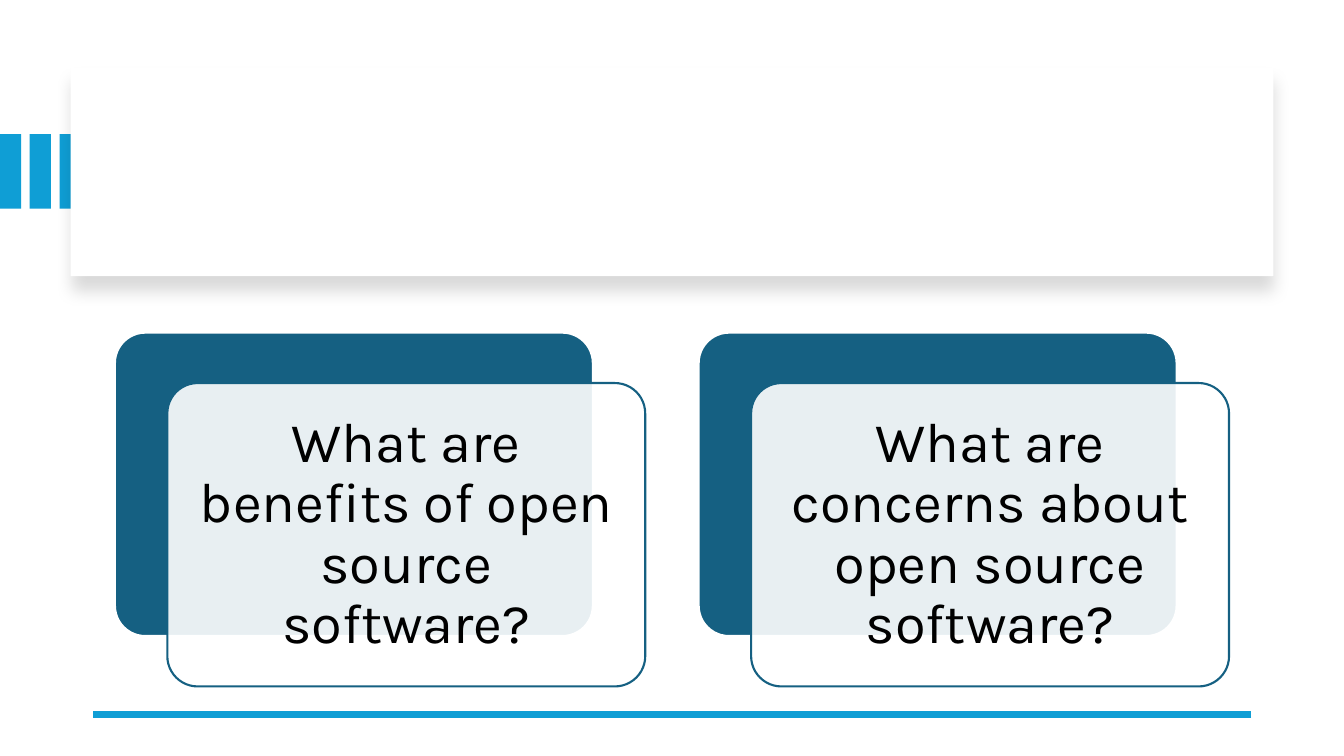
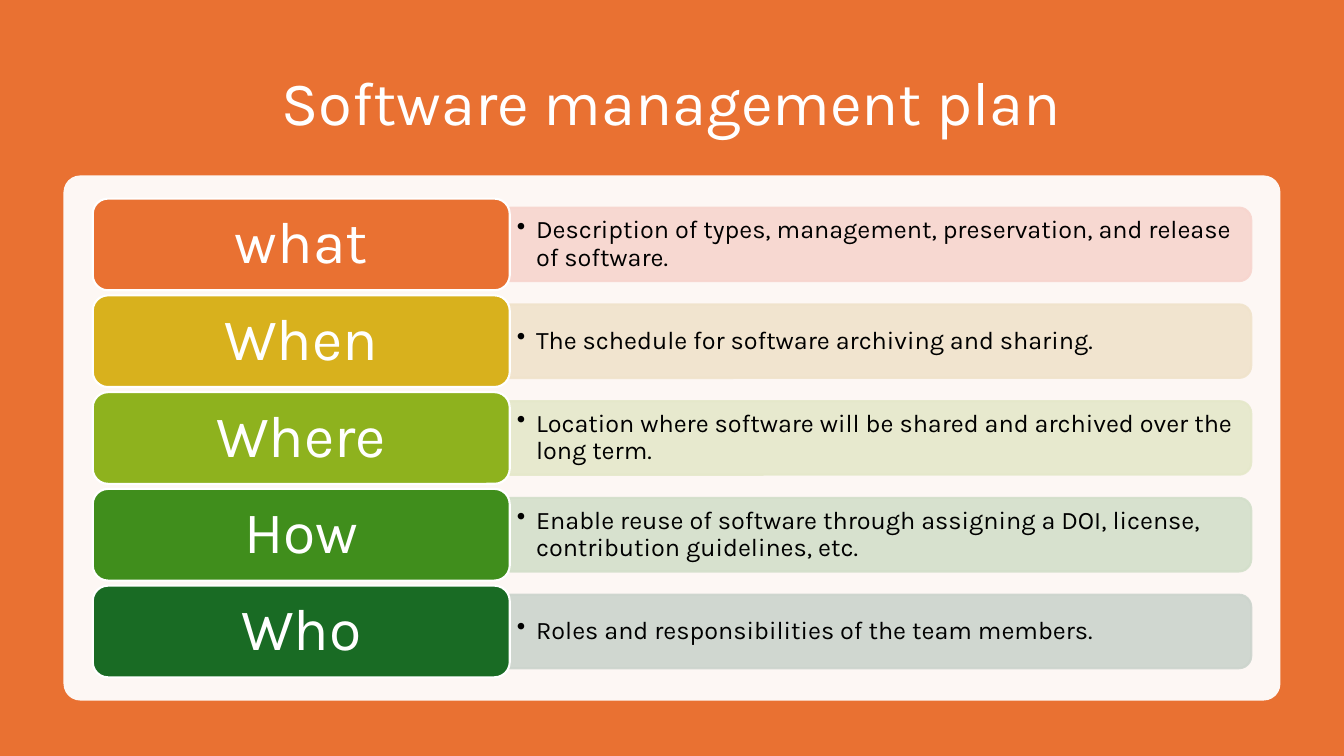
"""Build two slides: open source discussion questions and a software management plan."""
from lxml.etree import SubElement
from pptx import Presentation
from pptx.dml.color import RGBColor
from pptx.enum.shapes import MSO_CONNECTOR, MSO_SHAPE as Kind
from pptx.enum.text import MSO_ANCHOR, PP_ALIGN as Align
from pptx.oxml.ns import qn
from pptx.util import Inches, Pt

QUESTIONS = [
    "What are benefits of open source software?",
    "What are concerns about open source software?",
]
PLAN_TITLE = "Software management plan"
PLAN = [
    ("what", "E97132", "F7D5CE",
     "Description of types, management, preservation, and release of software."),
    ("When", "D8B11D", "F0E3CB",
     "The schedule for software archiving and sharing."),
    ("Where", "8EB21E", "E5E8CA",
     "Location where software will be shared and archived over the long term."),
    ("How", "408E1C", "D3DFCA",
     "Enable reuse of software through assigning a DOI, license, contribution guidelines, etc."),
    ("Who", "196B24", "CCD4CD",
     "Roles and responsibilities of the team members."),
]

WIDTH, HEIGHT = 13.33, 7.5
MARGIN = 0.92
CONTENT = WIDTH - 2 * MARGIN
FONT = "Karla"
WHITE, BLACK = "FFFFFF", "000000"
SKY, NAVY, ORANGE = "0F9ED5", "156082", "E97132"


def color(code):
    return RGBColor.from_string(code)


def apply(target, formats):
    for name, value in formats.items():
        setattr(target, name, value)


def add_alpha(element, percent):
    for clr in element.iter(qn("a:srgbClr")):
        SubElement(clr, qn("a:alpha"), val=str(percent * 1000))


def add_panel(slide, kind, box, fill, line=None, alpha=None, alpha_line=False, adjust=None):
    panel = slide.shapes.add_shape(kind, *map(Inches, box))
    panel.shadow.inherit = False
    panel.fill.solid()
    panel.fill.fore_color.rgb = color(fill)
    if line:
        panel.line.color.rgb = color(line)
        panel.line.width = Pt(1.5)
    else:
        panel.line.fill.background()
    if adjust is not None:
        panel.adjustments[0] = adjust
    if alpha:
        properties = panel._element.spPr
        add_alpha(properties if alpha_line else properties.find(qn("a:solidFill")), alpha)
    return panel


def write(holder, text, size, ink, inset=(0.1, 0.05), align=Align.CENTER, bullet=False):
    frame = holder.text_frame
    side, end = map(Inches, inset)
    apply(frame, dict(word_wrap=True, vertical_anchor=MSO_ANCHOR.MIDDLE,
                      margin_left=side, margin_right=side, margin_top=end, margin_bottom=end))
    paragraph = frame.paragraphs[0]
    apply(paragraph, dict(text=text, alignment=align, line_spacing=0.9))
    apply(paragraph.runs[0].font, dict(name=FONT, size=Pt(size)))
    paragraph.runs[0].font.color.rgb = color(ink)
    if bullet:
        properties = paragraph._p.get_or_add_pPr()
        indent = Inches(0.19)
        properties.set("marL", str(indent))
        properties.set("indent", str(-indent))
        SubElement(properties, qn("a:buChar"), char="•")


def add_text(slide, box, *content, **formats):
    write(slide.shapes.add_textbox(*map(Inches, box)), *content, **formats)


def add_drop_shadow(panel):
    effects = panel._element.spPr.find(qn("a:effectLst"))
    shadow = SubElement(effects, qn("a:outerShdw"), blurRad=str(Pt(11)), dist=str(Pt(10)),
                        dir=str(90 * 60000), algn="t", rotWithShape="0")
    SubElement(shadow, qn("a:srgbClr"), val=BLACK)
    add_alpha(shadow, 15)


def add_rule(slide, y):
    rule = slide.shapes.add_connector(
        MSO_CONNECTOR.STRAIGHT, *map(Inches, (WIDTH - MARGIN, y, MARGIN, y)))
    rule.line.color.rgb = color(SKY)
    rule.line.width = Pt(4.5)
    SubElement(rule._element.spPr, qn("a:effectLst"))


def build_questions(slide):
    for stripe in range(3):
        add_panel(slide, Kind.RECTANGLE, (stripe * 0.295, 1.33, 0.21, 0.74), SKY)
    add_drop_shadow(add_panel(slide, Kind.RECTANGLE, (0.7, 0.67, 11.93, 2.07), WHITE))
    add_rule(slide, 7.09)

    left, top, pitch, shift = 1.14, 3.3, 5.79, (0.52, 0.5)
    card = (4.74, 3.01)
    for column, question in enumerate(QUESTIONS):
        x = left + column * pitch
        add_panel(slide, Kind.ROUNDED_RECTANGLE, (x, top, *card), NAVY, WHITE, adjust=0.1)
        front = add_panel(slide, Kind.ROUNDED_RECTANGLE, (x + shift[0], top + shift[1], *card),
                          WHITE, NAVY, alpha=90, adjust=0.1)
        write(front, question, 40, BLACK, inset=(0.17, 0.17))


def build_plan(slide):
    add_panel(slide, Kind.RECTANGLE, (0, 0, WIDTH, HEIGHT), ORANGE)
    add_text(slide, (MARGIN, 0.5, CONTENT, 1.1), PLAN_TITLE, 44, WHITE)
    add_panel(slide, Kind.ROUNDED_RECTANGLE, (0.63, 1.74, 12.07, 5.21), WHITE,
              alpha=95, adjust=0.032)

    top, pitch, label_height, bar_height = 1.97, 0.96, 0.91, 0.73
    label_width = CONTENT * 0.36
    bar_left, bar_width = MARGIN + label_width, CONTENT * 0.64
    for row, (label, strong, pale, detail) in enumerate(PLAN):
        y = top + row * pitch
        middle = y + label_height / 2
        bar = add_panel(slide, Kind.ROUND_2_SAME_RECTANGLE,
                        (bar_left + (bar_width - bar_height) / 2, middle - bar_width / 2,
                         bar_height, bar_width), pale, pale, alpha=90, alpha_line=True)
        bar.rotation = 90
        add_text(slide, (bar_left, middle - 0.33, bar_width - 0.04, 0.66), detail, 18, BLACK,
                 inset=(0.07, 0.04), align=Align.LEFT, bullet=True)
        tile = add_panel(slide, Kind.ROUNDED_RECTANGLE,
                         (MARGIN, y, label_width, label_height), strong, WHITE)
        write(tile, label, 42, WHITE, inset=(0.17, 0.09))


def main():
    deck = Presentation()
    apply(deck, dict(slide_width=Inches(WIDTH), slide_height=Inches(HEIGHT)))
    for build in (build_questions, build_plan):
        build(deck.slides.add_slide(deck.slide_layouts[6]))
    deck.save("out.pptx")


if __name__ == "__main__":
    main()
